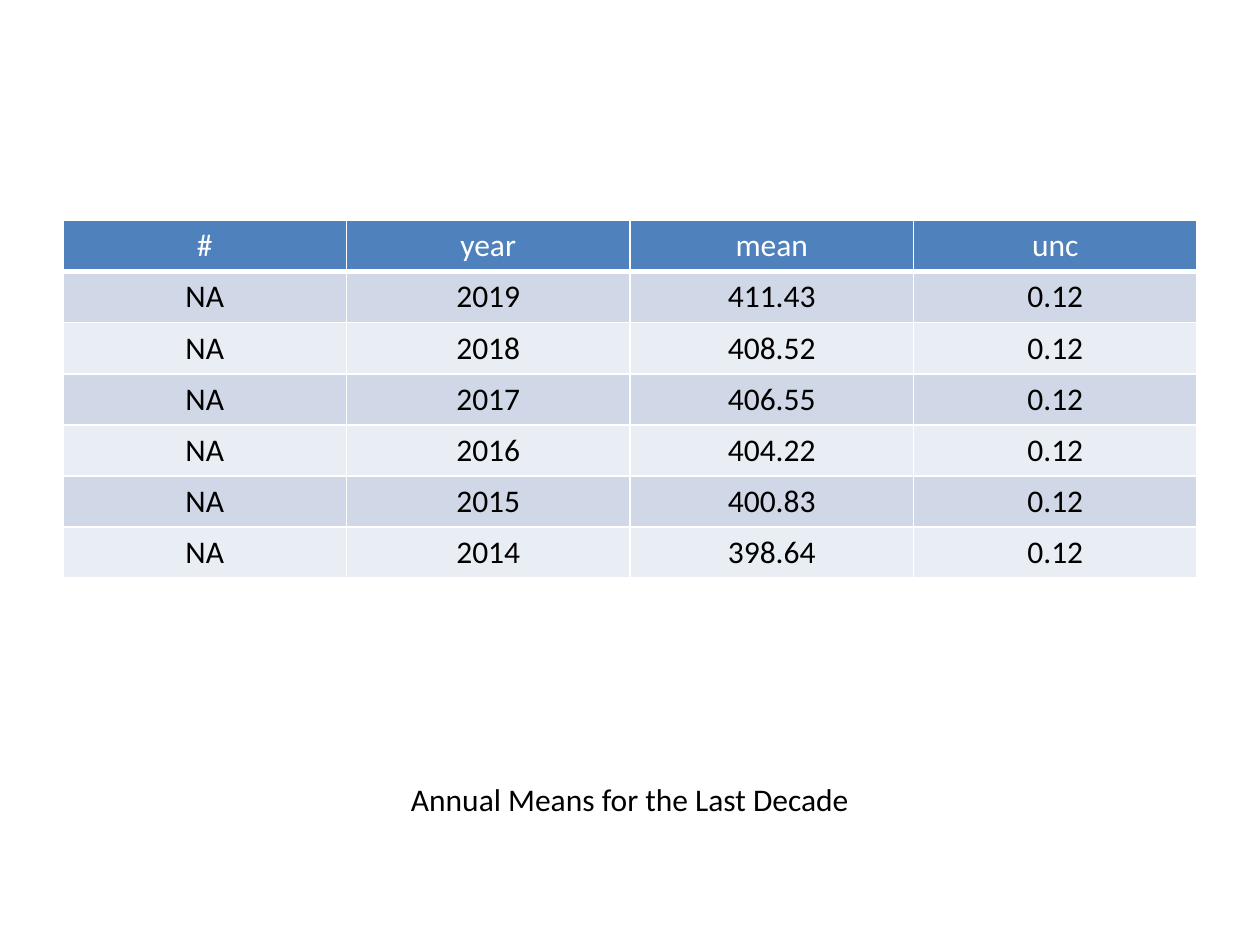
"""Build a slide with a table of annual means and its caption."""
from dataclasses import dataclass

from lxml.etree import SubElement
from pptx import Presentation
from pptx.dml.color import RGBColor
from pptx.enum.text import PP_ALIGN
from pptx.oxml.ns import qn
from pptx.util import Inches, Pt


@dataclass(frozen=True)
class Theme:
    font: str = "Calibri"
    size: int = 18
    text: str = "000000"
    header_text: str = "FFFFFF"
    header_fill: str = "4F81BD"
    bands: tuple = ("D0D8E8", "E9EDF4")
    border: str = "FFFFFF"
    border_width: float = 1
    header_border_width: float = 3


def write_text(frame, text, *, font, size, color, align=PP_ALIGN.CENTER):
    paragraph = frame.paragraphs[0]
    paragraph.alignment = align
    run = paragraph.add_run()
    run.text = text
    run.font.name = font
    run.font.size = Pt(size)
    run.font.bold = False
    run.font.color.rgb = RGBColor.from_string(color)


class SlideBuilder:
    def __init__(self, slide, theme):
        self.slide = slide
        self.theme = theme

    def text(self, text, left, top, width, height):
        shape = self.slide.shapes.add_textbox(
            Inches(left), Inches(top), Inches(width), Inches(height))
        shape.text_frame.word_wrap = True
        write_text(shape.text_frame, text, font=self.theme.font,
                   size=self.theme.size, color=self.theme.text)

    def borders(self, cell, bottom_width):
        properties = cell._tc.get_or_add_tcPr()
        for side in ("L", "R", "T", "B"):
            width = bottom_width if side == "B" else self.theme.border_width
            line = SubElement(properties, qn(f"a:ln{side}"), w=str(Pt(width)))
            fill = SubElement(line, qn("a:solidFill"))
            SubElement(fill, qn("a:srgbClr"), val=self.theme.border)

    def table(self, rows, left, top, width, row_height):
        theme = self.theme
        table = self.slide.shapes.add_table(
            len(rows), len(rows[0]), Inches(left), Inches(top),
            Inches(width), Inches(row_height * len(rows))).table
        for row_index, values in enumerate(rows):
            is_header = row_index == 0
            fill = theme.header_fill if is_header else theme.bands[(row_index - 1) % 2]
            color = theme.header_text if is_header else theme.text
            bottom = theme.header_border_width if is_header else theme.border_width
            for column_index, value in enumerate(values):
                cell = table.cell(row_index, column_index)
                self.borders(cell, bottom)
                cell.fill.solid()
                cell.fill.fore_color.rgb = RGBColor.from_string(fill)
                write_text(cell.text_frame, value, font=theme.font,
                           size=theme.size, color=color)


def main():
    presentation = Presentation()
    presentation.slide_width = Inches(10)
    presentation.slide_height = Inches(7.5)
    slide = presentation.slides.add_slide(presentation.slide_layouts[6])
    builder = SlideBuilder(slide, Theme())

    annual_means = {
        "2019": "411.43", "2018": "408.52", "2017": "406.55",
        "2016": "404.22", "2015": "400.83", "2014": "398.64",
    }
    rows = [("#", "year", "mean", "unc")]
    rows += [("NA", year, mean, "0.12") for year, mean in annual_means.items()]
    builder.table(rows, left=0.5, top=1.75, width=9, row_height=0.4)
    builder.text("Annual Means for the Last Decade", 0.5, 6.14, 9, 0.56)
    presentation.save("out.pptx")


main()
